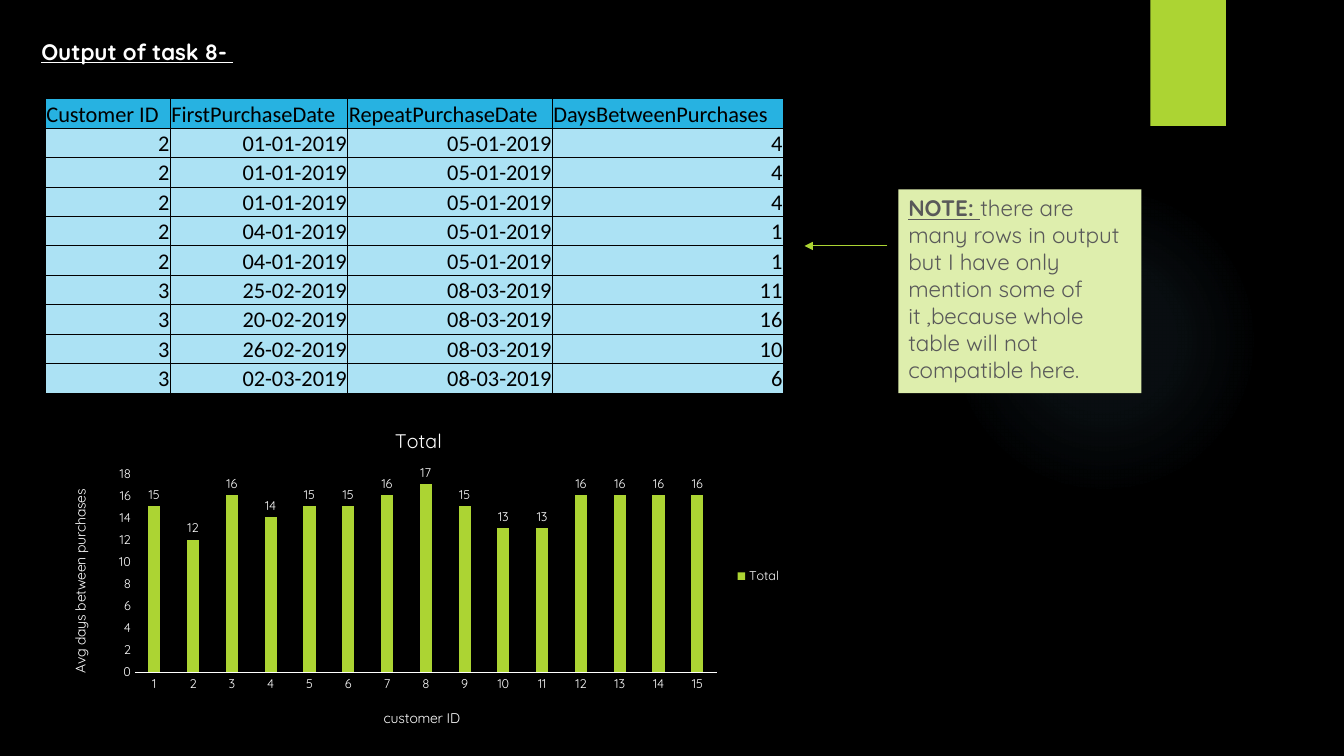
from dataclasses import dataclass

from lxml import etree
from pptx import Presentation
from pptx.chart.data import CategoryChartData
from pptx.dml.color import RGBColor
from pptx.enum.chart import XL_CHART_TYPE, XL_LABEL_POSITION, XL_LEGEND_POSITION, XL_TICK_MARK
from pptx.enum.shapes import MSO_CONNECTOR, MSO_SHAPE
from pptx.enum.text import MSO_ANCHOR, PP_ALIGN
from pptx.oxml import parse_xml
from pptx.oxml.ns import nsdecls, qn
from pptx.util import Inches, Pt


@dataclass(frozen=True)
class Theme:
    black: str = "000000"
    white: str = "FFFFFF"
    green: str = "ACD433"
    pale_green: str = "DEEEAD"
    gray: str = "595959"
    header_blue: str = "27B2E1"
    cell_blue: str = "ACE2F4"
    glow_blue: str = "7AC4F0"
    font: str = "Quicksand"
    table_font: str = "Calibri"
    body: int = 16
    chart_title: int = 14
    axis_title: int = 10
    label: int = 9


class TaskSlide:
    """Draws styled elements on one title-only slide."""

    def __init__(self, presentation, theme):
        self.theme = theme
        self.slide = presentation.slides.add_slide(presentation.slide_layouts[5])
        self.shapes = self.slide.shapes
        self.fill(self.slide.background, theme.black)

    def fill(self, target, color):
        target.fill.solid()
        target.fill.fore_color.rgb = RGBColor.from_string(color)

    def style(self, font, size, color, name=None, bold=False, underline=False):
        font.name = name or self.theme.font
        font.size = Pt(size)
        font.color.rgb = RGBColor.from_string(color)
        font.bold = bold
        font.underline = underline

    def add_text(self, paragraph, text, size, color, **look):
        run = paragraph.add_run()
        run.text = text
        self.style(run.font, size, color, **look)

    def title(self, text, left, top, width, height):
        heading = self.shapes.title
        heading.left, heading.top = Inches(left), Inches(top)
        heading.width, heading.height = Inches(width), Inches(height)
        frame = heading.text_frame
        frame.word_wrap = True
        frame.vertical_anchor = MSO_ANCHOR.TOP
        frame.paragraphs[0].alignment = PP_ALIGN.LEFT
        self.add_text(frame.paragraphs[0], text, self.theme.body, self.theme.white,
                      bold=True, underline=True)

    def block(self, kind, color, left, top, width, height):
        shape = self.shapes.add_shape(kind, Inches(left), Inches(top), Inches(width), Inches(height))
        shape.shadow.inherit = False
        self.fill(shape, color)
        shape.line.fill.background()
        return shape

    def glow(self, left, top, size):
        halo = self.block(MSO_SHAPE.OVAL, self.theme.glow_blue, left, top, size, size)
        stops = "".join(
            f'<a:gs pos="{place * 1000}"><a:srgbClr val="{self.theme.glow_blue}">'
            f'<a:alpha val="{alpha * 1000}"/></a:srgbClr></a:gs>'
            for place, alpha in ((0, 7), (36, 6), (69, 0)))
        gradient = parse_xml(
            f'<a:gradFill {nsdecls("a")} rotWithShape="1"><a:gsLst>{stops}</a:gsLst>'
            '<a:path path="circle"><a:fillToRect l="50000" t="50000" r="50000" b="50000"/>'
            '</a:path></a:gradFill>')
        properties = halo._element.spPr
        properties.replace(properties.find(qn("a:solidFill")), gradient)

    def note(self, heading, text, left, top, width, height):
        frame = self.block(MSO_SHAPE.RECTANGLE, self.theme.pale_green, left, top, width, height).text_frame
        frame.word_wrap = True
        frame.vertical_anchor = MSO_ANCHOR.TOP
        paragraph = frame.paragraphs[0]
        paragraph.alignment = PP_ALIGN.LEFT
        self.add_text(paragraph, heading, self.theme.body, self.theme.gray, bold=True, underline=True)
        self.add_text(paragraph, text, self.theme.body, self.theme.gray)

    def arrow(self, start, end):
        connector = self.shapes.add_connector(MSO_CONNECTOR.STRAIGHT, *map(Inches, start + end))
        connector.line.color.rgb = RGBColor.from_string(self.theme.green)
        connector.line.width = Pt(0.75)
        properties = connector._element.spPr
        etree.SubElement(properties.find(qn("a:ln")), qn("a:tailEnd"), type="triangle")
        etree.SubElement(properties, qn("a:effectLst"))

    def cell(self, cell, text, color, alignment):
        cell.margin_left = cell.margin_right = cell.margin_top = Inches(0.01)
        cell.margin_bottom = 0
        cell.vertical_anchor = MSO_ANCHOR.BOTTOM
        paragraph = cell.text_frame.paragraphs[0]
        paragraph.alignment = alignment
        self.add_text(paragraph, text, self.theme.body, self.theme.black, name=self.theme.table_font)
        properties = cell._tc.get_or_add_tcPr()
        for side in ("lnL", "lnR", "lnT", "lnB"):
            properties.append(parse_xml(
                f'<a:{side} {nsdecls("a")} w="6350"><a:solidFill>'
                f'<a:srgbClr val="{self.theme.black}"/></a:solidFill></a:{side}>'))
        self.fill(cell, color)

    def table(self, rows, widths, left, top, height):
        table = self.shapes.add_table(len(rows), len(widths), Inches(left), Inches(top),
                                      Inches(sum(widths)), Inches(height)).table
        for column, width in zip(table.columns, widths):
            column.width = Inches(width)
        for index, row in enumerate(rows):
            color = self.theme.cell_blue if index else self.theme.header_blue
            alignment = PP_ALIGN.RIGHT if index else PP_ALIGN.LEFT
            for place, text in enumerate(row):
                self.cell(table.cell(index, place), text, color, alignment)

    def place(self, parent, before, **fractions):
        layout = parse_xml(f'<c:layout {nsdecls("c")}><c:manualLayout/></c:layout>')
        manual = layout[0]
        if "w" in fractions:
            etree.SubElement(manual, qn("c:layoutTarget"), val="inner")
        for key in ("xMode", "yMode"):
            etree.SubElement(manual, qn(f"c:{key}"), val="edge")
        for key, value in fractions.items():
            etree.SubElement(manual, qn(f"c:{key}"), val=str(value))
        for old in parent.findall(qn("c:layout")):
            parent.remove(old)
        parent.find(qn(before)).addprevious(layout)

    def axis(self, axis, title, x, y):
        axis.has_major_gridlines = False
        axis.major_tick_mark = axis.minor_tick_mark = XL_TICK_MARK.NONE
        self.style(axis.tick_labels.font, self.theme.label, self.theme.white)
        self.add_text(axis.axis_title.text_frame.paragraphs[0], title,
                      self.theme.axis_title, self.theme.white)
        self.place(axis.axis_title._element, "c:overlay", x=x, y=y)

    def chart(self, name, averages, left, top, width, height):
        data = CategoryChartData(number_format="0")
        data.categories = [str(customer) for customer in range(1, len(averages) + 1)]
        data.add_series(name, averages)
        chart = self.shapes.add_chart(XL_CHART_TYPE.COLUMN_CLUSTERED, Inches(left), Inches(top),
                                      Inches(width), Inches(height), data).chart
        self.style(chart.font, self.theme.axis_title, self.theme.white)
        self.add_text(chart.chart_title.text_frame.paragraphs[0], name,
                      self.theme.chart_title, self.theme.white)
        chart.has_legend = True
        chart.legend.position = XL_LEGEND_POSITION.RIGHT
        chart.legend.include_in_layout = False
        self.style(chart.legend.font, self.theme.label, self.theme.white)
        self.axis(chart.category_axis, "customer ID", 0.45, 0.89)
        self.axis(chart.value_axis, "Avg days between purchases", 0.03, 0.23)
        chart.category_axis.format.line.color.rgb = RGBColor.from_string(self.theme.white)
        chart.category_axis.format.line.width = Pt(0.75)
        chart.value_axis.format.line.fill.background()
        chart.value_axis.minimum_scale, chart.value_axis.maximum_scale = 0, 18
        chart.value_axis.major_unit = 2
        plot = chart.plots[0]
        plot.vary_by_categories = False
        plot.gap_width, plot.overlap = 219, -27
        self.fill(plot.series[0].format, self.theme.green)
        labels = plot.series[0].data_labels
        labels.show_value = True
        labels.position = XL_LABEL_POSITION.OUTSIDE_END
        labels.number_format, labels.number_format_is_linked = "0", False
        self.style(labels.font, self.theme.label, self.theme.white)
        self.place(plot._element.getparent(), "c:barChart", x=0.12, y=0.19, w=0.78, h=0.6)


def main():
    presentation = Presentation()
    presentation.slide_width, presentation.slide_height = Inches(13.33), Inches(7.5)
    theme = Theme()
    page = TaskSlide(presentation, theme)
    page.glow(9.41, 1.83, 3.08)
    page.block(MSO_SHAPE.RECTANGLE, theme.green, 11.41, 0, 0.75, 1.25)
    page.title("Output of task 8- ", 0.31, 0.33, 12.68, 1.01)
    purchases = [("Customer ID", "FirstPurchaseDate", "RepeatPurchaseDate", "DaysBetweenPurchases")]
    purchases += [("2", "01-01-2019", "05-01-2019", "4")] * 3
    purchases += [("2", "04-01-2019", "05-01-2019", "1")] * 2
    purchases += [("3", first, "08-03-2019", days) for first, days in (
        ("25-02-2019", "11"), ("20-02-2019", "16"), ("26-02-2019", "10"), ("02-03-2019", "6"))]
    page.table(purchases, (1.24, 1.76, 2.03, 2.29), 0.45, 0.98, 2.92)
    page.chart("Total", (15, 12, 16, 14, 15, 15, 16, 17, 15, 13, 13, 16, 16, 16, 16),
               0.45, 4.07, 7.4, 3.29)
    page.note("NOTE: ", "there are many rows in output but I have only mention some of it ,"
              "because whole table will not compatible here.", 8.91, 1.88, 2.41, 2.02)
    page.arrow((8.8, 2.44), (7.98, 2.44))
    presentation.save("out.pptx")


if __name__ == "__main__":
    main()
